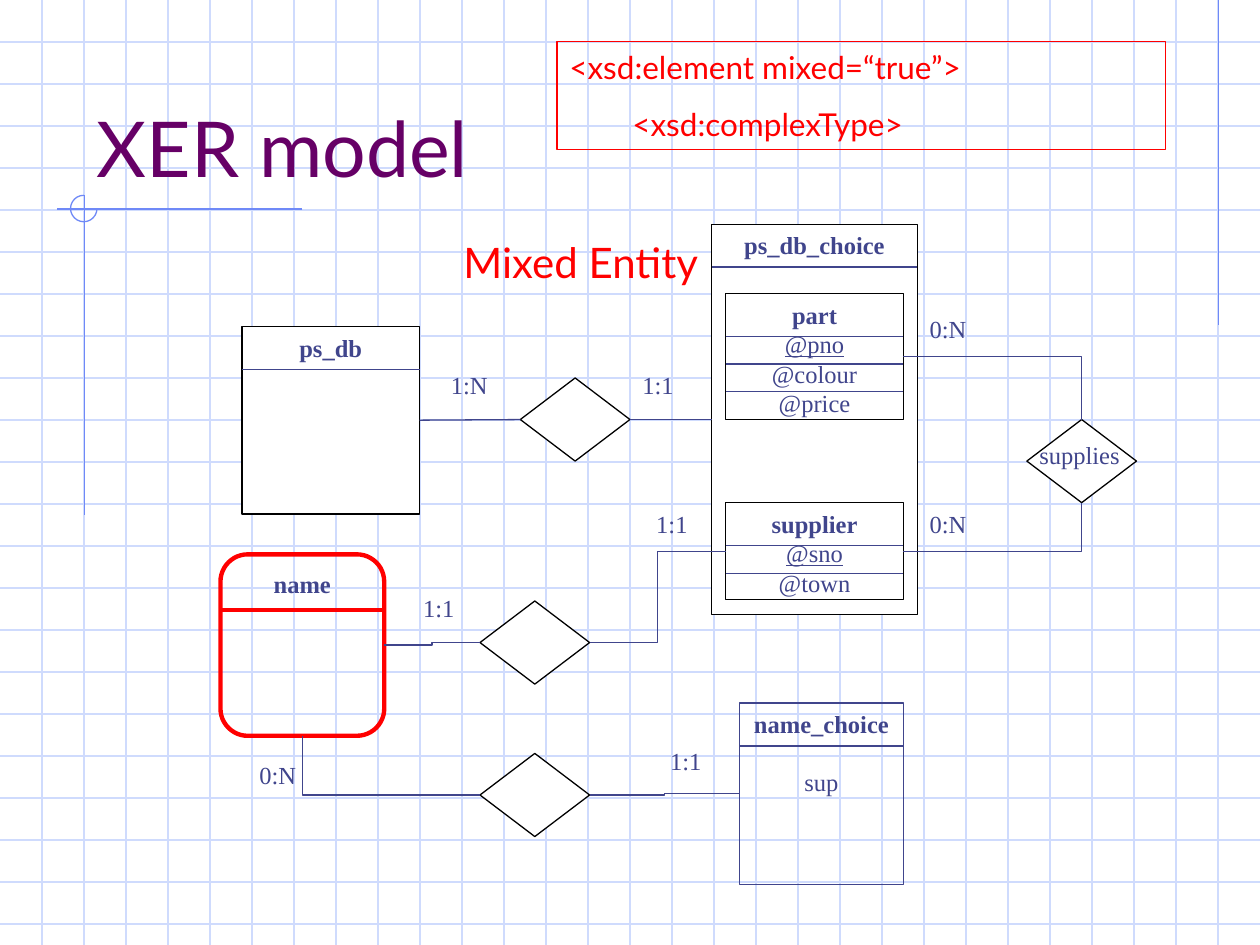
from dataclasses import dataclass

from pptx import Presentation
from pptx.dml.color import RGBColor
from pptx.enum.shapes import MSO_CONNECTOR, MSO_SHAPE
from pptx.enum.text import MSO_ANCHOR, PP_ALIGN
from pptx.oxml.ns import qn
from pptx.util import Inches, Pt

STRAIGHT, ELBOW = MSO_CONNECTOR.STRAIGHT, MSO_CONNECTOR.ELBOW
RECT, ROUNDED = MSO_SHAPE.RECTANGLE, MSO_SHAPE.ROUNDED_RECTANGLE
DIAMOND, ARC = MSO_SHAPE.DIAMOND, MSO_SHAPE.ARC
TOP_ANCHOR, BOTTOM_ANCHOR = MSO_ANCHOR.TOP, MSO_ANCHOR.BOTTOM
LEFT_ALIGN, CENTER_ALIGN = PP_ALIGN.LEFT, PP_ALIGN.CENTER
TOP, LEFT, BOTTOM, RIGHT = range(4)


@dataclass(frozen=True)
class Theme:
    paper: str = "FFFFFF"
    grid: str = "CFDBFD"
    accent: str = "6F89F7"
    title: str = "660066"
    ink: str = "40458C"
    outline: str = "000000"
    highlight: str = "FF0000"
    heading_font: str = "Lato"
    body_font: str = "Times New Roman"
    title_size: float = 44
    callout_size: float = 24
    code_size: float = 18
    body_size: float = 14
    thin: float = 0.75
    thick: float = 2.5


def write(paragraph, text, *, font, size, color, bold=False, underline=False,
          align=LEFT_ALIGN, before=0):
    paragraph.alignment = align
    paragraph.space_before = Pt(before)
    run = paragraph.add_run()
    run.text = text
    run.font.name = font
    run.font.size = Pt(size)
    run.font.color.rgb = RGBColor.from_string(color)
    run.font.bold = bold
    run.font.underline = underline


class Diagram:
    def __init__(self, slide, theme):
        self.slide = slide
        self.theme = theme

    def stroke(self, line, color, width):
        line.color.rgb = RGBColor.from_string(color)
        line.width = Pt(width)

    def line(self, x1, y1, x2, y2, color, width=None, kind=STRAIGHT):
        connector = self.slide.shapes.add_connector(
            kind, Inches(x1), Inches(y1), Inches(x2), Inches(y2))
        self.stroke(connector.line, color, width or self.theme.thin)
        properties = connector._element.spPr
        properties.append(properties.makeelement(qn("a:effectLst"), {}))
        return connector

    def link(self, start, start_side, end, end_side, kind=STRAIGHT, corner=False):
        connector = self.line(0, 0, 1, 1, self.theme.ink, kind=kind)
        connector.begin_connect(start, start_side)
        connector.end_connect(end, end_side)
        if corner:
            connector._element.spPr.find(qn("a:prstGeom")).set("prst", "bentConnector2")

    def shape(self, kind, x, y, width, height, color, fill=None, weight=None):
        shape = self.slide.shapes.add_shape(
            kind, Inches(x), Inches(y), Inches(width), Inches(height))
        shape.shadow.inherit = False
        if fill:
            shape.fill.solid()
            shape.fill.fore_color.rgb = RGBColor.from_string(fill)
        else:
            shape.fill.background()
        self.stroke(shape.line, color, weight or self.theme.thin)
        shape.text_frame.word_wrap = True
        shape.text_frame.vertical_anchor = TOP_ANCHOR
        return shape

    def relationship(self, x, y):
        return self.shape(DIAMOND, x, y, 0.87, 0.66, self.theme.outline, self.theme.paper)

    def entity(self, name, x, y, width, height, attributes=(), key=False, gap=0,
               dividers=1, header=0.34, kind=RECT, color=None, fill=None, weight=None):
        theme = self.theme
        box = self.shape(kind, x, y, width, height, color or theme.outline, fill, weight)
        style = dict(font=theme.body_font, size=theme.body_size,
                     color=theme.ink, align=CENTER_ALIGN)
        frame = box.text_frame
        write(frame.paragraphs[0], name, bold=True, **style)
        for row, attribute in enumerate(attributes):
            write(frame.add_paragraph(), attribute, underline=key and row == 0,
                  before=gap, **style)
        for row in range(dividers):
            level = y + header + 0.22 * row
            divider_color = color if weight else theme.ink
            self.line(x, level, x + width, level, divider_color, weight)
        return box

    def text(self, content, x, y, width, height, anchor=TOP_ANCHOR, **style):
        frame = self.slide.shapes.add_textbox(
            Inches(x), Inches(y), Inches(width), Inches(height)).text_frame
        frame.word_wrap = True
        frame.vertical_anchor = anchor
        write(frame.paragraphs[0], content, **style)

    def label(self, content, x, y, width=0.65):
        theme = self.theme
        self.text(content, x, y, width, 0.34, font=theme.body_font,
                  size=theme.body_size, color=theme.ink)

    def backdrop(self):
        theme = self.theme
        for step in range(1, 23):
            self.line(0, step / 3, 10, step / 3, theme.grid)
        for step in range(1, 30):
            self.line(step / 3, 0, step / 3, 7.5, theme.grid)
        for ends in ((9.67, 0, 9.67, 2.58), (2.4, 1.66, 0.45, 1.66), (0.67, 1.55, 0.67, 4.09)):
            self.line(*ends, theme.accent)
        ring = self.shape(ARC, 0.56, 1.55, 0.21, 0.21, theme.accent)
        ring.adjustments[0] = 0
        ring.adjustments[1] = 162


def main():
    theme = Theme()
    deck = Presentation()
    deck.slide_width, deck.slide_height = Inches(10), Inches(7.5)
    slide = deck.slides.add_slide(deck.slide_layouts[6])
    slide.background.fill.solid()
    slide.background.fill.fore_color.rgb = RGBColor.from_string(theme.paper)
    diagram = Diagram(slide, theme)
    diagram.backdrop()
    diagram.text("XER model", 0.67, 0.33, 8.5, 1.25, BOTTOM_ANCHOR,
                 font=theme.heading_font, size=theme.title_size, color=theme.title)

    db_choice = diagram.entity("ps_db_choice", 5.65, 1.78, 1.63, 3.1, fill=theme.paper)
    supplier = diagram.entity("supplier", 5.76, 3.99, 1.41, 0.77, ("@sno", "@town"),
                              key=True, dividers=2, fill=theme.paper)
    part = diagram.entity("part", 5.76, 2.33, 1.41, 1, ("@pno", "@colour", "@price"),
                          key=True, dividers=3, fill=theme.paper)
    db = diagram.entity("ps_db", 1.92, 2.59, 1.41, 1.49, fill=theme.paper)
    name = diagram.entity("name", 1.75, 4.4, 1.3, 1.44, header=0.44, kind=ROUNDED,
                          color=theme.highlight, weight=theme.thick)
    name_choice = diagram.entity("name_choice", 5.87, 5.58, 1.3, 1.44, ("sup",), gap=16,
                                 color=theme.ink)

    supplies = diagram.relationship(8.15, 3.33)
    db_relation = diagram.relationship(4.13, 3)
    supplier_relation = diagram.relationship(3.81, 4.77)
    choice_relation = diagram.relationship(3.81, 5.98)

    diagram.link(part, RIGHT, supplies, TOP, ELBOW, corner=True)
    diagram.link(supplier, RIGHT, supplies, BOTTOM, ELBOW, corner=True)
    diagram.link(db, RIGHT, db_relation, LEFT)
    diagram.link(db_relation, RIGHT, db_choice, LEFT)
    diagram.link(name, RIGHT, supplier_relation, LEFT, ELBOW)
    diagram.link(supplier_relation, RIGHT, supplier, LEFT, ELBOW)
    diagram.link(choice_relation, LEFT, name, BOTTOM, ELBOW, corner=True)
    diagram.link(choice_relation, RIGHT, name_choice, LEFT, ELBOW)

    diagram.label("supplies", 8.15, 3.44, 0.87)
    for cardinality, x, y in (
        ("0:N", 7.28, 2.44), ("0:N", 7.28, 3.99), ("1:N", 3.48, 2.89), ("1:1", 5, 2.89),
        ("1:1", 3.26, 4.66), ("1:1", 5.11, 3.99), ("0:N", 1.96, 5.98), ("1:1", 5.22, 5.87),
    ):
        diagram.label(cardinality, x, y)

    diagram.text("Mixed Entity", 3.58, 1.83, 2.17, 0.5, font=theme.heading_font,
                 size=theme.callout_size, color=theme.highlight)
    schema = diagram.shape(RECT, 4.42, 0.33, 4.83, 0.86, theme.highlight).text_frame
    code = dict(font=theme.heading_font, size=theme.code_size, color=theme.highlight)
    write(schema.paragraphs[0], "<xsd:element mixed=“true”>", **code)
    write(schema.add_paragraph(), "\t<xsd:complexType>", before=11.2, **code)

    deck.save("out.pptx")


if __name__ == "__main__":
    main()
